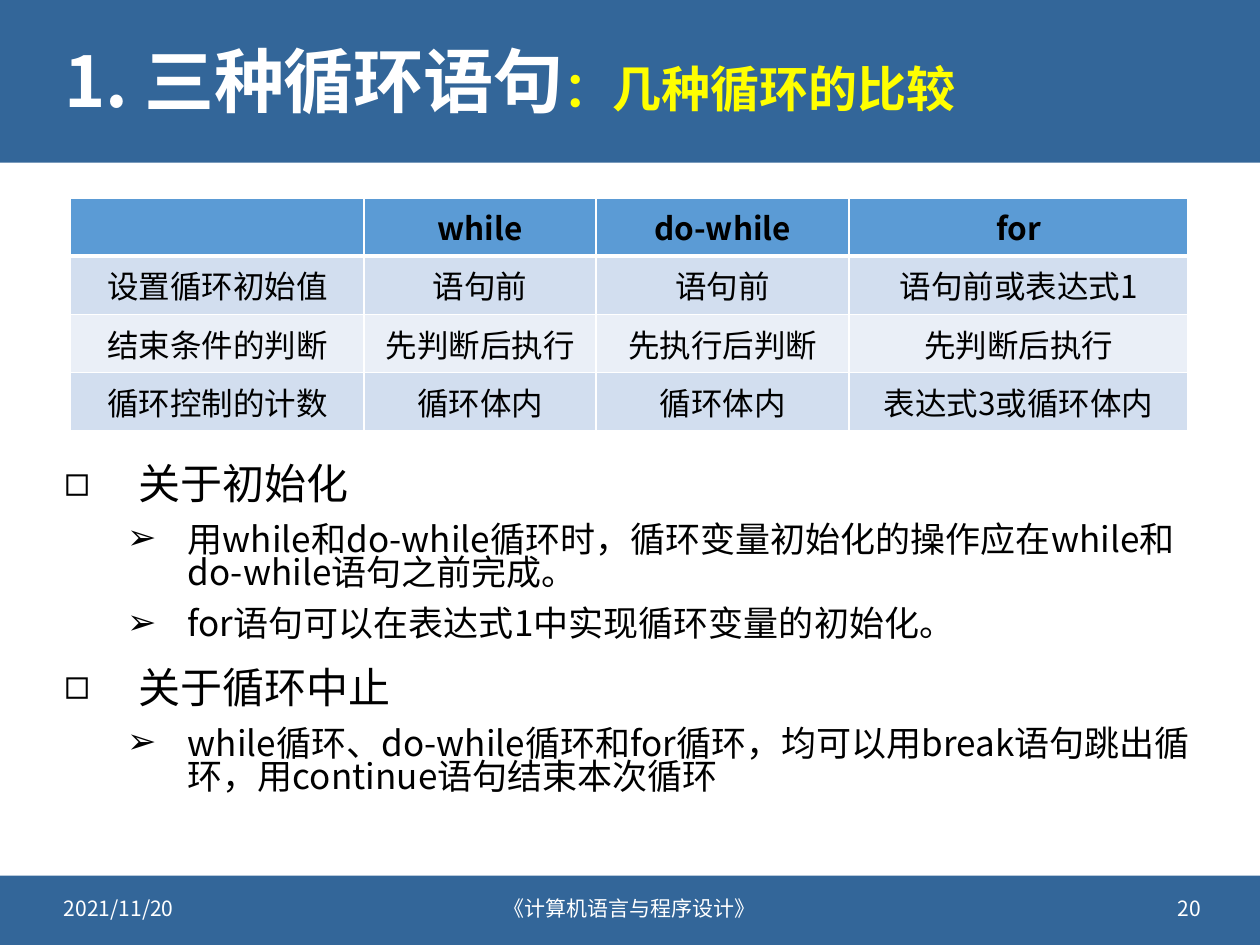
"""Build the slide comparing the three loop statements."""
from pptx import Presentation, util as u
from pptx.dml.color import RGBColor
from pptx.enum import shapes, text as t
from pptx.oxml import ns
from lxml import etree

FONT = "Noto Sans CJK SC"
COLORS = {"bar": "336699", "head": "5B9BD5", "odd": "D2DEEF", "even": "EAEFF7",
          "white": "FFFFFF", "black": "000000", "accent": "FFFF00"}


def rgb(name):
    return RGBColor.from_string(COLORS[name])


def write(para, text, size=18, color="black", bold=False, align=t.PP_ALIGN.LEFT):
    para.alignment = align
    span = para.add_run()
    span.text = text
    span.font.name = FONT
    span.font.size = u.Pt(size)
    span.font.bold = bold
    span.font.color.rgb = rgb(color)
    etree.SubElement(span.font._element, ns.qn("a:ea"), typeface=FONT)


deck = Presentation()
deck.slide_width, deck.slide_height = u.Inches(10), u.Inches(7.5)
page = deck.slides.add_slide(deck.slide_layouts[1])
title, body = page.shapes.title, page.placeholders[1]

for index, (top, height) in enumerate([(0, 1.29), (6.95, 0.55)]):
    bar = page.shapes.add_shape(shapes.MSO_SHAPE.RECTANGLE, 0, u.Inches(top),
                                deck.slide_width, u.Inches(height))
    bar.shadow.inherit = False
    bar.fill.solid()
    bar.fill.fore_color.rgb = rgb("bar")
    bar.line.fill.background()
    page.shapes._spTree.insert(2 + index, bar._element)

for box, top, height in [(title, 0.18, 0.99), (body, 3.58, 3.17)]:
    box.left, box.width = u.Inches(0.41), u.Inches(9.19)
    box.top, box.height = u.Inches(top), u.Inches(height)
    box.text_frame.auto_size = t.MSO_AUTO_SIZE.NONE

title.text_frame.vertical_anchor = t.MSO_ANCHOR.MIDDLE
heading = title.text_frame.paragraphs[0]
heading.line_spacing = 0.9
write(heading, "1. 三种循环语句", size=40, color="white", bold=True)
write(heading, "：几种循环的比较", size=28, color="accent", bold=True)

LEVELS = [
    {"bullet": "◻", "left": 0.59, "hang": 0.59, "size": 24, "spacing": 1.0},
    {"bullet": "➢", "left": 0.98, "hang": 0.48, "size": 20, "spacing": 0.8},
]
points = [
    (0, "关于初始化"),
    (1, "用while和do-while循环时，循环变量初始化的操作应在while和do-while语句之前完成。"),
    (1, "for语句可以在表达式1中实现循环变量的初始化。"),
    (0, "关于循环中止"),
    (1, "while循环、do-while循环和for循环，均可以用break语句跳出循环，用continue语句结束本次循环"),
]
for index, (level, text) in enumerate(points):
    style = LEVELS[level]
    para = body.text_frame.add_paragraph() if index else body.text_frame.paragraphs[0]
    para.level = level
    props = para._p.get_or_add_pPr()
    props.set("marL", str(u.Inches(style["left"])))
    props.set("indent", str(-u.Inches(style["hang"])))
    bullet_color = etree.SubElement(props, ns.qn("a:buClr"))
    etree.SubElement(bullet_color, ns.qn("a:srgbClr"), val=COLORS["black"])
    etree.SubElement(props, ns.qn("a:buChar"), char=style["bullet"])
    para.line_spacing = style["spacing"]
    para.space_before = u.Pt(10 if index else 0)
    write(para, text, size=style["size"])

rows = [
    ["", "while", "do-while", "for"],
    ["设置循环初始值", "语句前", "语句前", "语句前或表达式1"],
    ["结束条件的判断", "先判断后执行", "先执行后判断", "先判断后执行"],
    ["循环控制的计数", "循环体内", "循环体内", "表达式3或循环体内"],
]
table = page.shapes.add_table(4, 4, u.Inches(0.56), u.Inches(1.57),
                              u.Inches(8.88), u.Inches(1.62)).table
for column, width in zip(table.columns, [2.33, 1.84, 2.01, 2.69]):
    column.width = u.Inches(width)
for r, row in enumerate(rows):
    for c, text in enumerate(row):
        cell = table.cell(r, c)
        props = cell._tc.get_or_add_tcPr()
        for side in "LRTB":
            thick = (r, side) in [(0, "B"), (1, "T")]
            edge = etree.SubElement(props, ns.qn(f"a:ln{side}"), w=str(u.Pt(3 if thick else 1)))
            fill = etree.SubElement(edge, ns.qn("a:solidFill"))
            etree.SubElement(fill, ns.qn("a:srgbClr"), val=COLORS["white"])
        cell.fill.solid()
        cell.fill.fore_color.rgb = rgb("head" if r == 0 else "odd" if r % 2 else "even")
        if text:
            write(cell.text_frame.paragraphs[0], text, bold=r == 0, align=t.PP_ALIGN.CENTER)

footers = [
    (0.41, 2.4, "2021/11/20", t.PP_ALIGN.LEFT),
    (3.2, 3.6, "《计算机语言与程序设计》", t.PP_ALIGN.CENTER),
    (7.23, 2.4, "20", t.PP_ALIGN.RIGHT),
]
for left, width, text, align in footers:
    box = page.shapes.add_textbox(u.Inches(left), u.Inches(7.01), u.Inches(width), u.Inches(0.4))
    box.text_frame.word_wrap = True
    box.text_frame.vertical_anchor = t.MSO_ANCHOR.MIDDLE
    write(box.text_frame.paragraphs[0], text, size=12, color="white", align=align)

deck.save("out.pptx")
